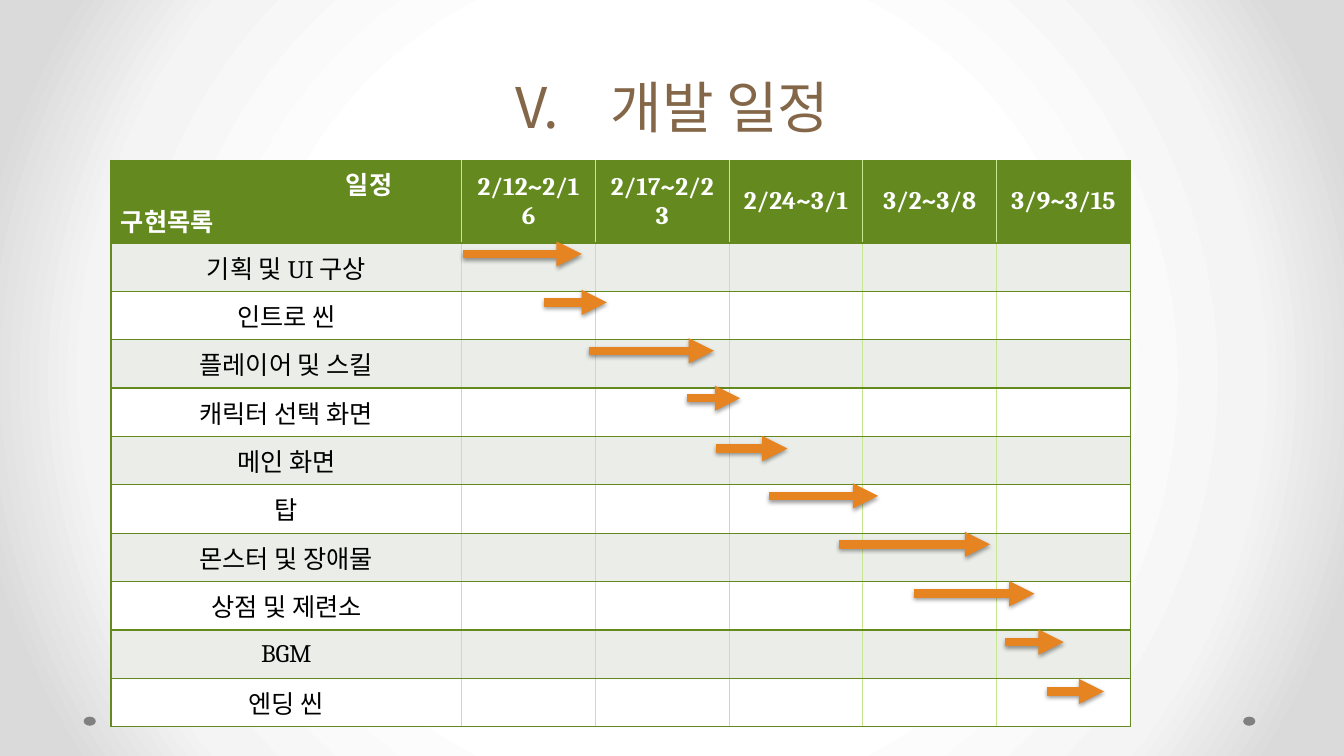
from pptx import Presentation
from pptx.dml.color import RGBColor
from pptx.enum.shapes import MSO_CONNECTOR, MSO_SHAPE
from pptx.enum.text import MSO_ANCHOR, PP_ALIGN
from pptx.oxml import parse_xml
from pptx.oxml.ns import nsdecls, qn
from pptx.util import Inches, Pt

LATIN, KOREAN = "Cambria", "Noto Sans CJK KR"
GREEN, LIME, ORANGE = "63891F", "C7E68F", "E68422"
BROWN, GRAY, WHITE, BLACK = "846648", "808080", "FFFFFF", "000000"
BANDS = ("EAEDE8", WHITE)
TABLE_WIDTH, LABEL_WIDTH = 10.11, 3.48
HEADER_HEIGHT, TASK_HEIGHT = 0.82, 0.48
WEEKS = ["2/12~2/16", "2/17~2/23", "2/24~3/1", "3/2~3/8", "3/9~3/15"]
TASKS = [
    ("기획 및 UI 구상", 4.59, 5.77, 2.52),
    ("인트로 씬", 5.4, 6.02, 3),
    ("플레이어 및 스킬", 5.84, 7.08, 3.48),
    ("캐릭터 선택 화면", 6.81, 7.34, 3.95),
    ("메인 화면", 7.1, 7.81, 4.45),
    ("탑", 7.63, 8.71, 4.92),
    ("몬스터 및 장애물", 8.32, 9.82, 5.4),
    ("상점 및 제련소", 9.07, 10.26, 5.89),
    ("BGM", 9.97, 10.55, 6.37),
    ("엔딩 씬", 10.38, 10.95, 6.86),
]


def color(value):
    return RGBColor.from_string(value)


def drawing(xml):
    tag_end = min(xml.index(mark) for mark in " />" if mark in xml)
    return parse_xml(f"{xml[:tag_end]} {nsdecls('a')}{xml[tag_end:]}")


def style_para(para, size, fill, align, latin=LATIN, bold=False):
    para.alignment = align
    for span in para.runs:
        font = span.font
        font.size, font.bold, font.name = Pt(size), bold, latin
        font.color.rgb = color(fill)
        span._r.get_or_add_rPr().append(drawing(f'<a:ea typeface="{KOREAN}"/>'))


def paint_background(page):
    page.background.fill.solid()
    properties = page.element.find(".//" + qn("p:bgPr"))
    stops = "".join(
        f'<a:gs pos="{place * 1000}"><a:srgbClr val="{shade}"/></a:gs>'
        for place, shade in ((50, WHITE), (76, "F4F4F4"), (92, "DADADA")))
    gradient = drawing(
        f'<a:gradFill rotWithShape="1"><a:gsLst>{stops}</a:gsLst><a:path path="circle">'
        '<a:fillToRect l="50000" t="50000" r="50000" b="50000"/></a:path></a:gradFill>')
    properties.replace(properties[0], gradient)


def add_dot(page, left):
    dot = page.shapes.add_shape(
        MSO_SHAPE.OVAL, Inches(left), Inches(7.11), Inches(0.12), Inches(0.09))
    dot.shadow.inherit = False
    dot.fill.solid()
    dot.fill.fore_color.rgb = color(GRAY)
    dot.line.fill.background()


def add_title(page, text):
    box = page.shapes.add_textbox(Inches(0.67), Inches(0.44), Inches(12), Inches(1))
    frame = box.text_frame
    frame.word_wrap = True
    frame.vertical_anchor = MSO_ANCHOR.BOTTOM
    frame.text = text
    para = frame.paragraphs[0]
    para.line_spacing = Pt(58)
    style_para(para, 40, BROWN, PP_ALIGN.CENTER, KOREAN)
    properties = para._p.get_or_add_pPr()
    properties.set("marL", str(Inches(0.94)))
    properties.set("indent", str(-Inches(0.94)))
    properties.append(drawing(f'<a:buFont typeface="{KOREAN}"/>'))
    properties.append(drawing('<a:buAutoNum type="romanUcPeriod" startAt="5"/>'))


def set_borders(cell, left, right):
    properties = cell._tc.get_or_add_tcPr()
    sides = (("L", left), ("R", right), ("T", GREEN), ("B", GREEN))
    for index, (side, shade) in enumerate(sides):
        properties.insert(index, drawing(
            f'<a:ln{side} w="{Pt(1)}"><a:solidFill><a:srgbClr val="{shade}"/>'
            f'</a:solidFill></a:ln{side}>'))


def fill_cell(cell, text, fill, font_color, bold):
    cell.fill.solid()
    cell.fill.fore_color.rgb = color(fill)
    cell.vertical_anchor = MSO_ANCHOR.MIDDLE
    cell.text = text
    for para in cell.text_frame.paragraphs:
        style_para(para, 18, font_color, PP_ALIGN.CENTER, bold=bold)


def add_schedule(page):
    rows = [["일정\n구현목록"] + WEEKS]
    rows += [[task[0]] + [""] * len(WEEKS) for task in TASKS]
    table = page.shapes.add_table(
        len(rows), len(rows[0]), Inches(1.1), Inches(1.59), Inches(TABLE_WIDTH),
        Inches(HEADER_HEIGHT + TASK_HEIGHT * len(TASKS))).table
    table.horz_banding = False
    week_width = (TABLE_WIDTH - LABEL_WIDTH) / len(WEEKS)
    for index, column in enumerate(table.columns):
        column.width = Inches(week_width if index else LABEL_WIDTH)
    for index, row in enumerate(table.rows):
        row.height = Inches(TASK_HEIGHT if index else HEADER_HEIGHT)
        header = index == 0
        fill = GREEN if header else BANDS[(index - 1) % 2]
        for place, text in enumerate(rows[index]):
            cell = table.cell(index, place)
            fill_cell(cell, text, fill, WHITE if header else BLACK, header)
            set_borders(cell, LIME if place else GREEN,
                        LIME if place < len(WEEKS) else GREEN)
    corner = table.cell(0, 0)
    corner.vertical_anchor = MSO_ANCHOR.TOP
    corner.margin_right = Inches(0.69)
    for para, align in zip(corner.text_frame.paragraphs, (PP_ALIGN.RIGHT, PP_ALIGN.LEFT)):
        para.alignment = align


def add_arrow(page, start, end, height):
    arrow = page.shapes.add_connector(
        MSO_CONNECTOR.STRAIGHT, Inches(start), Inches(height), Inches(end), Inches(height))
    arrow.line.color.rgb = color(ORANGE)
    arrow.line.width = Pt(6)
    arrow.line._get_or_add_ln().append(drawing('<a:tailEnd type="triangle"/>'))
    arrow._element.spPr.append(drawing(
        f'<a:effectLst><a:outerShdw blurRad="{Pt(3.1)}" dist="{Pt(1.6)}" dir="5400000" '
        f'rotWithShape="0"><a:srgbClr val="{BLACK}"><a:alpha val="38000"/></a:srgbClr>'
        '</a:outerShdw></a:effectLst>'))


def main():
    deck = Presentation()
    deck.slide_width, deck.slide_height = Inches(13.33), Inches(7.5)
    page = deck.slides.add_slide(deck.slide_layouts[6])
    paint_background(page)
    for left in (12.33, 0.83):
        add_dot(page, left)
    add_title(page, "개발 일정")
    add_schedule(page)
    for _, start, end, height in TASKS:
        add_arrow(page, start, end, height)
    deck.save("out.pptx")


main()
